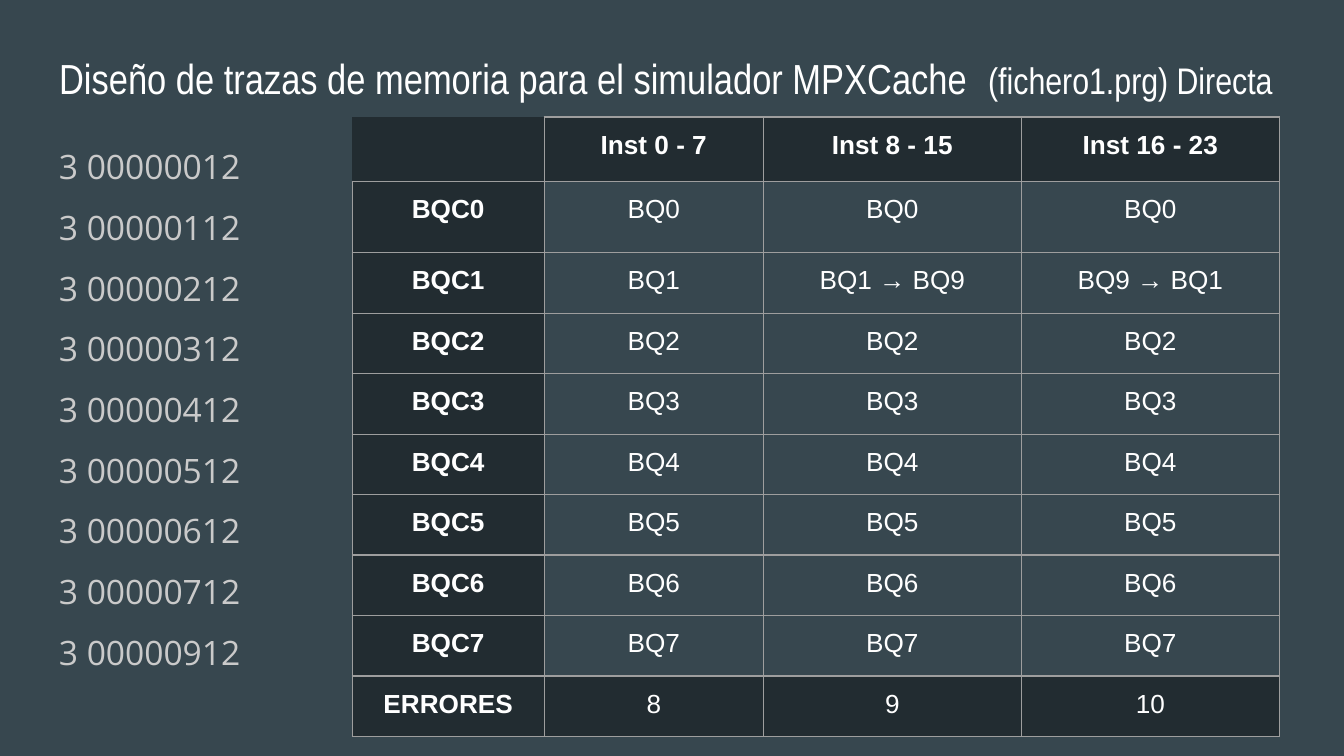
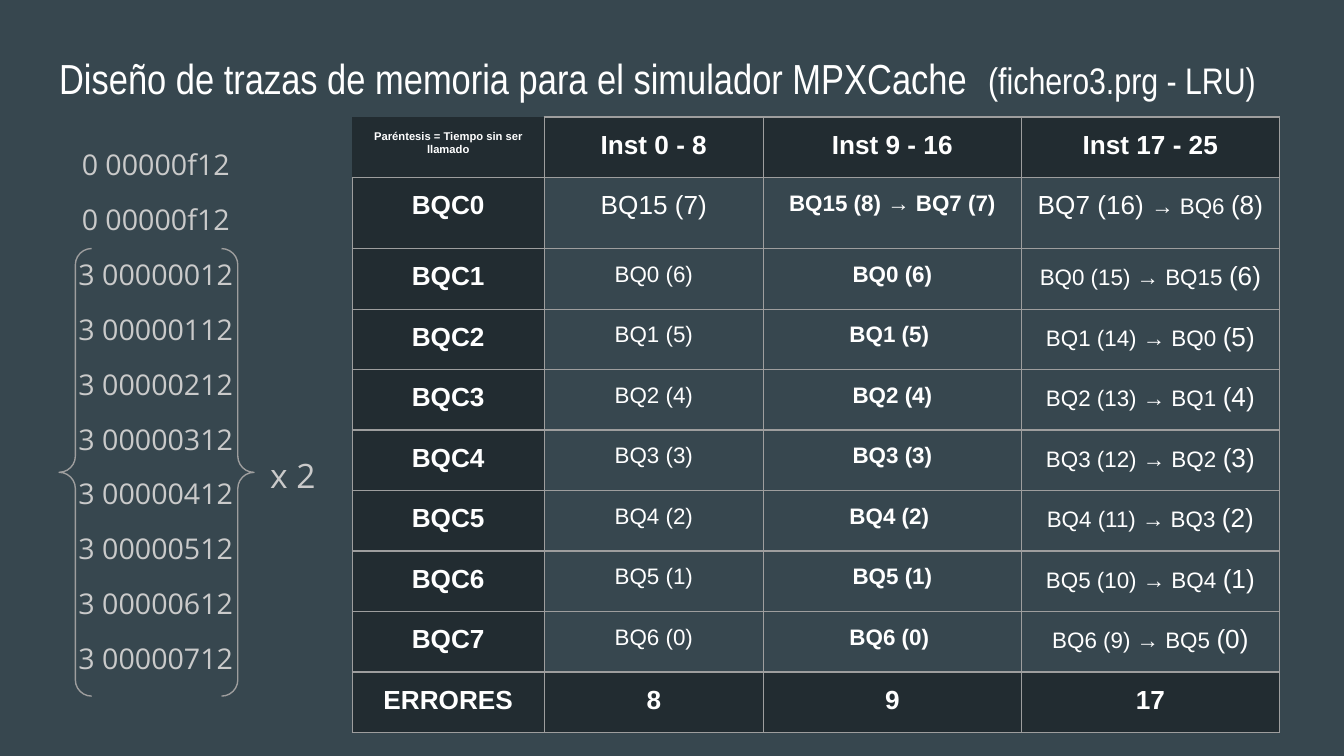
from lxml import etree
from pptx import Presentation
from pptx.dml.color import RGBColor
from pptx.enum.shapes import MSO_SHAPE
from pptx.enum.text import MSO_ANCHOR, PP_ALIGN
from pptx.oxml import parse_xml
from pptx.oxml.ns import nsdecls
from pptx.util import Inches, Pt

SLATE, DARK, GRAY, LIGHT, WHITE = "37474F", "222C31", "9E9E9E", "CACACA", "FFFFFF"
TITLE = "Diseño de trazas de memoria para el simulador MPXCache  "
MARGIN = Inches(0.1)
COLUMN_WIDTHS = (1.43, 1.63, 1.92, 1.92)
ROW_HEIGHTS = (0.45, 0.53) + (0.45,) * 8


def color(hex_string):
    return RGBColor.from_string(hex_string)


def write(paragraph, parts, font_name, hex_string, align):
    paragraph.alignment = align
    for text, size, bold in parts:
        run = paragraph.add_run()
        run.text = text
        run.font.size = Pt(size)
        run.font.bold = bold
        run.font.name = font_name
        run.font.color.rgb = color(hex_string)


direct_rows = [[[]] + [[(f"Inst {span}", 14, True)] for span in ("0 - 7", "8 - 15", "16 - 23")]]
for block in range(8):
    states = ("BQ1", "BQ1 → BQ9", "BQ9 → BQ1") if block == 1 else (f"BQ{block}",) * 3
    direct_rows.append([[(f"BQC{block}", 14, True)]] + [[(state, 14, False)] for state in states])
direct_rows.append([[("ERRORES", 14, True)]] + [[(count, 14, False)] for count in ("8", "9", "10")])

lru_rows = [[[("Paréntesis = Tiempo sin ser llamado", 6, True)]]
            + [[(f"Inst {span}", 14, True)] for span in ("0 - 8", "9 - 16", "17 - 25")],
            [[("BQC0", 14, True)], [("BQ15 (7)", 14, False)], [("BQ15 (8) → BQ7 (7)", 12, True)],
             [("BQ7 (16) ", 14, False), ("→ BQ6 ", 12, False), ("(8)", 14, False)]]]
for block in range(1, 8):
    age = 7 - block
    state = f"BQ{block - 1} ({age})"
    incoming = "BQ15" if block == 1 else f"BQ{block - 2}"
    padding = " " if block in (2, 5, 7) else ""
    lru_rows.append([[(f"BQC{block}", 14, True)], [(state, 12, False)], [(state + padding, 12, True)],
                     [(f"BQ{block - 1} ({16 - block}) → {incoming} ", 12, False), (f"({age})", 14, False)]])
lru_rows.append([[(text, 14, True)] for text in ("ERRORES", "8", "9", "17")])

reads = [f"3 00000{block}12" for block in range(8)]
designs = [
    ("(fichero1.prg) Directa", direct_rows, reads + ["3 00000912"], 18, PP_ALIGN.LEFT),
    ("(fichero3.prg - LRU)", lru_rows, ["0 00000f12"] * 2 + reads, 15.3, PP_ALIGN.CENTER),
]

prs = Presentation()
prs.slide_width, prs.slide_height = Inches(10), Inches(10) * 9 // 16

for file_label, rows, trace, trace_size, trace_align in designs:
    slide = prs.slides.add_slide(prs.slide_layouts[5])
    slide.background.fill.solid()
    slide.background.fill.fore_color.rgb = color(SLATE)

    title = slide.shapes.title
    title.left, title.top, title.width, title.height = Inches(0.34), Inches(0.29), Inches(9.32), Inches(0.63)
    write(title.text_frame.paragraphs[0], [(TITLE, 22.5, False), (file_label, 19.8, False)],
          "Arial Narrow", WHITE, PP_ALIGN.LEFT)

    table = slide.shapes.add_table(10, 4, Inches(2.62), Inches(0.87),
                                   Inches(sum(COLUMN_WIDTHS)), Inches(sum(ROW_HEIGHTS))).table
    table.horz_banding = False
    for column, width in zip(table.columns, COLUMN_WIDTHS):
        column.width = Inches(width)
    for r, row in enumerate(rows):
        table.rows[r].height = Inches(ROW_HEIGHTS[r])
        for c, parts in enumerate(row):
            cell = table.cell(r, c)
            cell.margin_left = cell.margin_right = cell.margin_top = cell.margin_bottom = MARGIN
            paragraph = cell.text_frame.paragraphs[0]
            write(paragraph, parts, "Arial", WHITE, PP_ALIGN.CENTER)
            if not parts:
                paragraph._p.append(parse_xml(
                    f'<a:endParaRPr {nsdecls("a")} sz="1800"><a:latin typeface="Arial"/></a:endParaRPr>'))
            properties = cell._tc.get_or_add_tcPr()
            for side in "LRTB":
                border = parse_xml(f'<a:ln{side} {nsdecls("a")} w="9525"/>')
                if r == c == 0 and side in "LT":
                    etree.SubElement(border, border.tag.split("}")[0] + "}noFill")
                else:
                    border.append(parse_xml(
                        f'<a:solidFill {nsdecls("a")}><a:srgbClr val="{GRAY}"/></a:solidFill>'))
                properties.append(border)
            cell.fill.solid()
            cell.fill.fore_color.rgb = color(DARK if r in (0, 9) or c == 0 else SLATE)

    trace_frame = slide.shapes.add_textbox(Inches(0.34), Inches(1.01), Inches(1.64), Inches(4.16)).text_frame
    for i, access in enumerate(trace):
        line = trace_frame.add_paragraph() if i else trace_frame.paragraphs[0]
        write(line, [(access, trace_size, False)], "Open Sans", LIGHT, trace_align)
        line.line_spacing = 0.95
        line.space_before = Pt(12 if i else 0)
    line.space_after = Pt(12)
    frames = [title.text_frame, trace_frame]

    if rows is lru_rows:
        loop_braces = slide.shapes.add_shape(MSO_SHAPE.DOUBLE_BRACE, Inches(0.44), Inches(1.85),
                                             Inches(1.45), Inches(3.33))
        loop_braces.shadow.inherit = False
        loop_braces.fill.background()
        loop_braces.line.color.rgb = color(GRAY)
        loop_braces.line.width = Pt(0.75)
        repeat_frame = slide.shapes.add_textbox(Inches(1.88), Inches(3.24), Inches(0.6), Inches(0.54)).text_frame
        repeat = repeat_frame.paragraphs[0]
        write(repeat, [("x 2", 18, False)], "Open Sans", LIGHT, PP_ALIGN.CENTER)
        repeat.line_spacing = 1.15
        repeat.space_after = Pt(12)
        frames.append(repeat_frame)

    for frame in frames:
        frame.word_wrap = True
        frame.margin_left = frame.margin_right = frame.margin_top = frame.margin_bottom = MARGIN
        frame.vertical_anchor = MSO_ANCHOR.TOP

prs.save("out.pptx")
